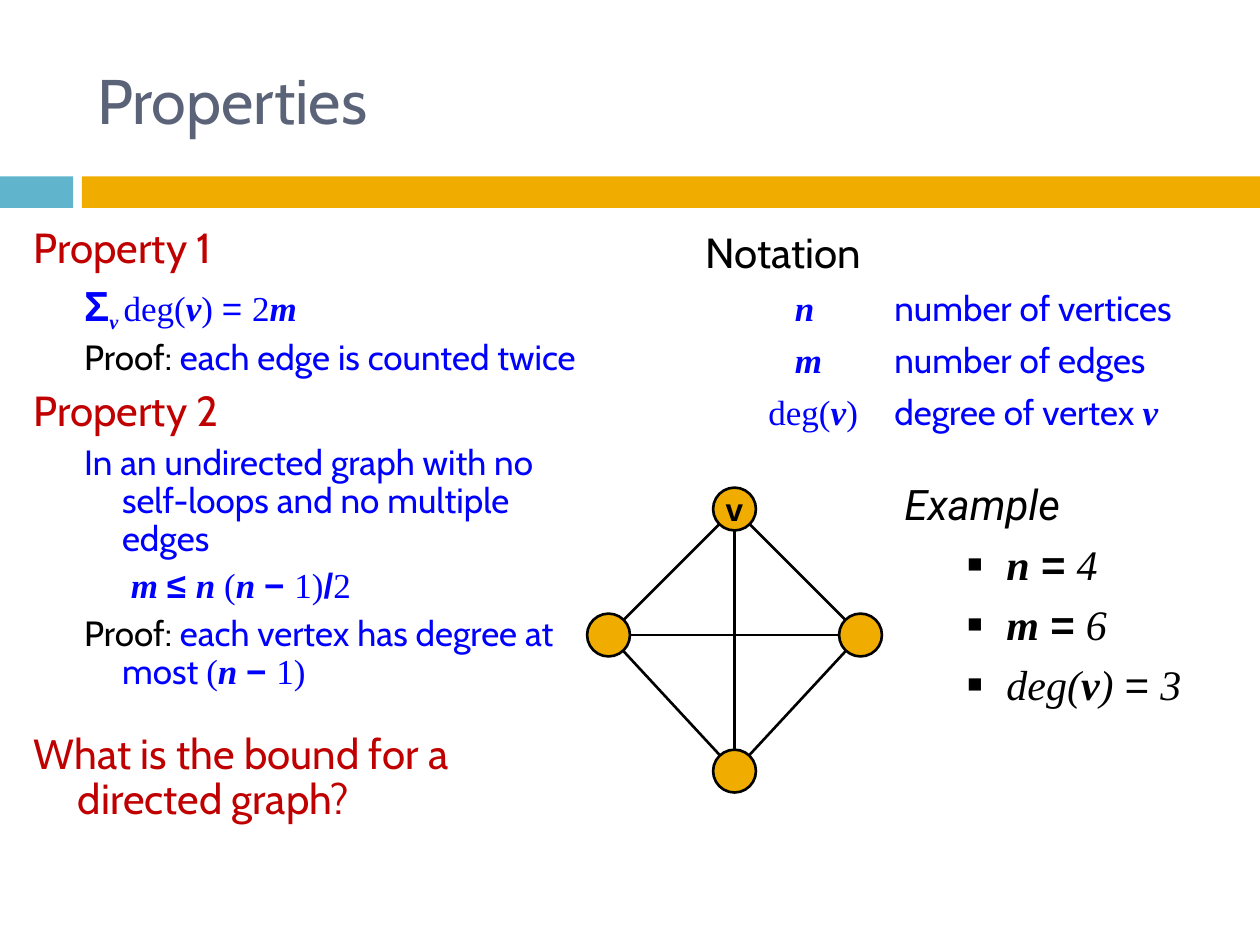
from dataclasses import dataclass
from itertools import combinations
from math import hypot

from lxml import etree
from pptx import Presentation
from pptx.dml.color import RGBColor
from pptx.enum.shapes import MSO_CONNECTOR, MSO_SHAPE
from pptx.enum.text import MSO_ANCHOR, MSO_AUTO_SIZE, PP_ALIGN
from pptx.oxml.ns import qn
from pptx.util import Inches, Pt

RECT, OVAL, STRAIGHT = MSO_SHAPE.RECTANGLE, MSO_SHAPE.OVAL, MSO_CONNECTOR.STRAIGHT
LEFT, CENTER, MIDDLE = PP_ALIGN.LEFT, PP_ALIGN.CENTER, MSO_ANCHOR.MIDDLE
NO_FIT = MSO_AUTO_SIZE.NONE
COLORS = {"title": "5A6378", "teal": "60B5CC", "gold": "F0AD00",
          "red": "C00000", "blue": "0000FF", "black": "000000"}
CABIN, TIMES, ARIAL, ROBOTO = "Cabin", "Times New Roman", "Arial", "Roboto"


@dataclass
class Piece:
    text: str
    font: str = CABIN
    color: str = "blue"
    size: float = 20
    bold: bool = False
    italic: bool = False
    baseline: int = 0


@dataclass
class Line:
    pieces: list[Piece]
    margin: float
    indent: float
    before: float = 5.5
    bullet: str = ""


def rgb(name: str) -> RGBColor:
    return RGBColor.from_string(COLORS[name])


def style(run, piece: Piece) -> None:
    font = run.font
    font.name, font.size = piece.font, Pt(piece.size)
    font.bold, font.italic = piece.bold, piece.italic
    font.color.rgb = rgb(piece.color)
    if piece.baseline:
        font._element.set("baseline", str(piece.baseline * 1000))


def add_bullet(props, char: str) -> None:
    color = etree.SubElement(props, qn("a:buClr"))
    etree.SubElement(color, qn("a:srgbClr"), val=COLORS["black"])
    etree.SubElement(props, qn("a:buSzPct"), val="60000")
    etree.SubElement(props, qn("a:buFont"), typeface=ARIAL)
    etree.SubElement(props, qn("a:buChar"), char=char)


def add_text(slide, box: tuple, lines: list[Line], spacing: float = 1.0) -> None:
    frame = slide.shapes.add_textbox(*map(Inches, box)).text_frame
    frame.word_wrap = True
    for i, line in enumerate(lines):
        paragraph = frame.add_paragraph() if i else frame.paragraphs[0]
        paragraph.line_spacing = spacing
        paragraph.space_before = Pt(line.before)
        props = paragraph._p.get_or_add_pPr()
        props.set("marL", str(Inches(line.margin)))
        props.set("indent", str(Inches(line.indent)))
        if line.bullet:
            add_bullet(props, line.bullet)
        for piece in line.pieces:
            run = paragraph.add_run()
            run.text = piece.text
            style(run, piece)


def add_filled(slide, kind, box: tuple, color: str):
    shape = slide.shapes.add_shape(kind, *map(Inches, box))
    shape.shadow.inherit = False
    shape.fill.solid()
    shape.fill.fore_color.rgb = rgb(color)
    shape.line.fill.background()
    return shape


def add_edge(slide, start: tuple, end: tuple) -> None:
    """Join two vertices from rim to rim."""
    (x1, y1), (x2, y2) = start, end
    share = RADIUS / hypot(x2 - x1, y2 - y1)
    dx, dy = (x2 - x1) * share, (y2 - y1) * share
    ends = (x1 + dx, y1 + dy, x2 - dx, y2 - dy)
    edge = slide.shapes.add_connector(STRAIGHT, *map(Inches, ends))
    edge.line.color.rgb = rgb("black")
    edge.line.width = Pt(1.5)
    etree.SubElement(edge._element.spPr, qn("a:effectLst"))


def symbol(text: str, **options) -> Piece:
    return Piece(text, TIMES, bold=True, italic=True, **options)


def roman(text: str, **options) -> Piece:
    return Piece(text, TIMES, **options)


def operator(text: str, **options) -> Piece:
    return Piece(text, ARIAL, bold=True, **options)


def heading(text: str, before: float = 7) -> Line:
    return Line([Piece(text, color="red", size=24)], 0.35, -0.35, before)


def detail(*pieces: Piece) -> Line:
    return Line(list(pieces), 0.7, -0.3)


def notation(term: list[Piece], meaning: list[Piece], start: float) -> Line:
    return Line([*term, roman("\t"), *meaning], 1.5, start - 1.5)


def example(*pieces: Piece) -> Line:
    for piece in pieces:
        piece.size, piece.color, piece.italic = 24, "black", True
    return Line(list(pieces), 0.81, -0.31, 5.5, "■")


prs = Presentation()
prs.slide_width, prs.slide_height = Inches(10), Inches(7.5)
slide = prs.slides.add_slide(prs.slide_layouts[5])

# Divider bands
add_filled(slide, RECT, (0, 1.4, 0.58, 0.25), "teal")
add_filled(slide, RECT, (0.65, 1.4, 9.35, 0.25), "gold")

# Title
title = slide.shapes.title
title.left, title.top, title.width, title.height = map(Inches, (0.67, 0.25, 8.92, 1.08))
title.text_frame.text = "Properties"
title.text_frame.auto_size = NO_FIT
title.text_frame.vertical_anchor = MIDDLE
title.text_frame.paragraphs[0].alignment = LEFT
style(title.text_frame.paragraphs[0].runs[0], Piece("", color="title", size=36))

# Notation
add_text(slide, (5.5, 1.75, 4.08, 1.75), [
    Line([Piece("Notation", color="black", size=24)], 0.12, -0.12, 7),
    notation([symbol("n")], [Piece("number of vertices")], 0.71),
    notation([symbol("m")], [Piece("number of edges")], 0.71),
    notation([roman("deg("), symbol("v"), roman(")")],
             [Piece("degree of vertex "), symbol("v")], 0.5),
])

# Properties and proofs
proof = Piece("Proof:", color="black")
add_text(slide, (0.17, 1.75, 4.62, 5.08), [
    heading("Property 1"),
    detail(operator("Σ", size=24), symbol("v ", baseline=-25), roman("deg("),
           symbol("v"), roman(") "), Piece("= ", ARIAL), roman("2"), symbol("m")),
    detail(proof, Piece(" each edge is counted twice")),
    heading("Property 2"),
    detail(Piece("In an undirected graph with no self-loops and no multiple edges")),
    Line([symbol("m "), operator("≤ "), symbol("n "), roman("("), symbol("n "),
          operator("− "), roman("1)"), operator("/"), roman("2")], 0.77, 0),
    detail(proof, Piece(" each vertex has degree at most "), roman("("),
           symbol("n "), operator("− "), roman("1)")),
    heading("What is the bound for a directed graph?", 23.5),
], 0.9)

# Complete graph on four vertices
RADIUS = 0.17
vertices = {"v": (5.83, 4.04), "left": (4.83, 5.04),
            "right": (6.83, 5.04), "bottom": (5.83, 6.12)}
for name, (x, y) in vertices.items():
    vertex = add_filled(slide, OVAL, (x - RADIUS, y - RADIUS, 2 * RADIUS, 2 * RADIUS), "gold")
    vertex.line.color.rgb = rgb("black")
    vertex.line.width = Pt(1.5)
    if name == "v":
        label = vertex.text_frame
        label.text = name
        label.word_wrap = False
        label.vertical_anchor = MIDDLE
        label.paragraphs[0].alignment = CENTER
        style(label.paragraphs[0].runs[0], operator(name, color="black", size=18))
for start, end in combinations(vertices.values(), 2):
    add_edge(slide, start, end)

# Example
add_text(slide, (7.08, 3.75, 2.5, 2), [
    Line([Piece("Example", ROBOTO, "black", 24, italic=True)], 0.38, -0.38),
    example(symbol("n "), operator("= "), roman("4")),
    example(symbol("m "), operator("= "), roman("6")),
    example(roman("deg("), symbol("v"), roman(") "), Piece("= ", ARIAL), roman("3")),
])

prs.save("out.pptx")
